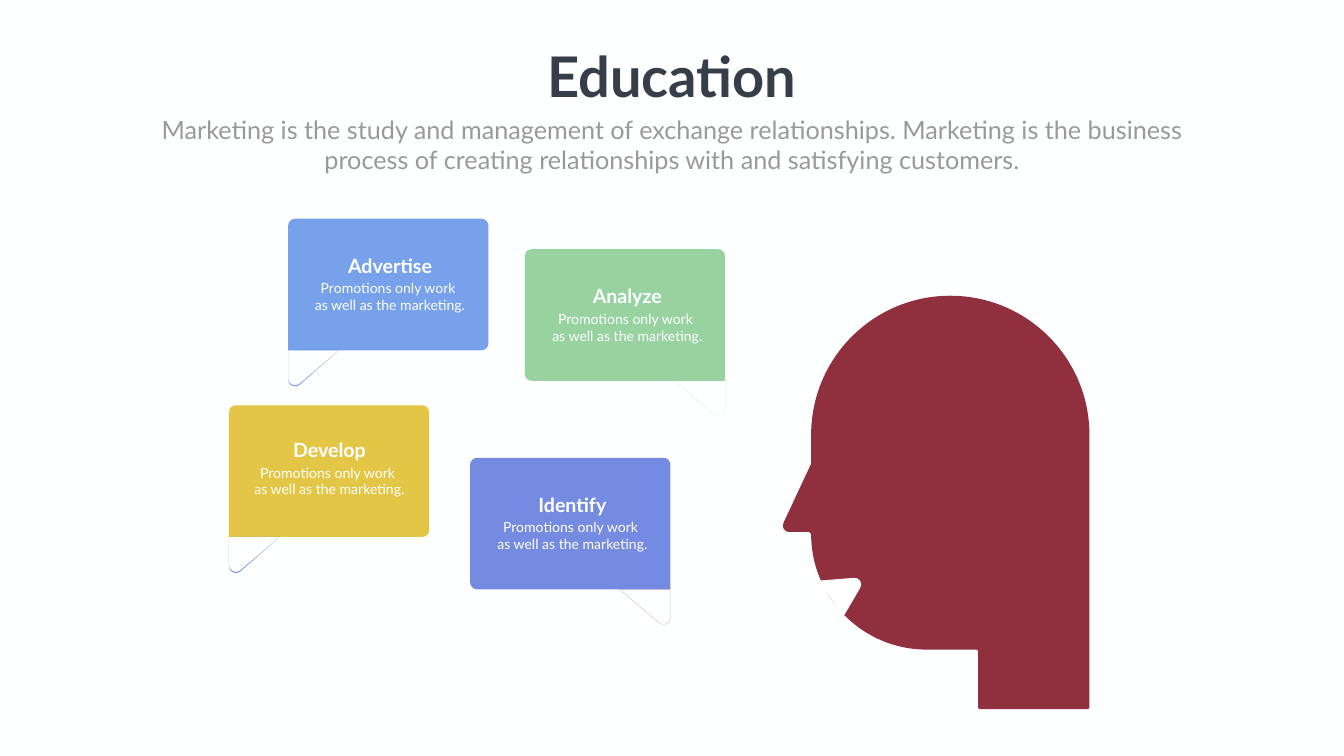
from math import cos, radians, sin, tan

from lxml import etree
from pptx import Presentation
from pptx.dml.color import RGBColor
from pptx.enum.text import MSO_ANCHOR, MSO_AUTO_SIZE, PP_ALIGN
from pptx.oxml.ns import qn
from pptx.util import Pt

CENTER = PP_ALIGN.CENTER
TOP = MSO_ANCHOR.TOP
NO_AUTOFIT = MSO_AUTO_SIZE.NONE

SLIDE_W, SLIDE_H = 1919.5, 1080
FONT = "Lato"
PAPER, WHITE, INK, GRAY, MAROON = "FEFFFF", "FFFFFF", "353E49", "989998", "902F3E"

BUBBLE_W, BUBBLE_H, CORNER = 286, 188, 10
TAIL_W, TAIL_H = 72.5, 50
HEADING_W, BODY_W = 188, 316
BODY = ["Promotions only work ", "as well as the marketing."]

# heading, left, top, heading left, heading top, tail on the right, colours
BUBBLES = [
    ("Identify", 671.5, 654, 723.5, 700, True, "758BE2", "913140"),
    ("Analyze", 749.5, 356, 802, 402.5, True, "98D2A1", "98D3A1"),
    ("Develop", 327, 579, 376.5, 622, False, "E3C645", "778DE4"),
    ("Advertise", 411.5, 312.5, 463, 358.5, False, "77A1EB", "77A1EC"),
]


def rgb(value):
    return RGBColor.from_string(value)


def arc(cx, cy, radius, *angles):
    """Steps along a circle: a point, then one curve to each further angle.

    Angles are in degrees, clockwise from the right. Every step is a tuple of
    points: one for a straight line, three for a curve.
    """
    def at(angle, pull=0.0):
        c, s = cos(radians(angle)), sin(radians(angle))
        return cx + radius * (c - pull * s), cy + radius * (s + pull * c)

    steps = [(at(angles[0]),)]
    for start, end in zip(angles, angles[1:]):
        pull = 4 / 3 * tan(radians(end - start) / 4)
        steps.append((at(start, pull), at(end, -pull), at(end)))
    return steps


def line(*points):
    return [(point,) for point in points]


def mirror(steps, width):
    return [tuple((width - x, y) for x, y in step) for step in steps]


def add_outline(slide, left, top, steps, fill):
    """Closed outline of lines and curves, relative to left and top."""
    steps = [[(Pt(left + x), Pt(top + y)) for x, y in step] for step in steps]
    start_x, start_y = steps[0][-1]
    builder = slide.shapes.build_freeform(start_x, start_y, scale=1.0)
    builder.add_line_segments([step[-1] for step in steps[1:]], close=True)
    outline = builder.convert_to_shape()
    outline.shadow.inherit = False
    outline.fill.solid()
    outline.fill.fore_color.rgb = rgb(fill)
    outline.line.fill.background()

    origin = next(outline.element.iter(qn("a:moveTo")))[0]
    shift_x, shift_y = start_x - int(origin.get("x")), start_y - int(origin.get("y"))
    segments = list(outline.element.iter(qn("a:lnTo")))
    for segment, step in zip(segments, steps[1:]):
        if len(step) == 3:
            curve = etree.Element(qn("a:cubicBezTo"))
            for x, y in step:
                etree.SubElement(curve, qn("a:pt"), x=str(x - shift_x), y=str(y - shift_y))
            segment.getparent().replace(segment, curve)


def write(frame, lines, size, color, bold=False, wrap=True):
    frame_format = {"word_wrap": wrap, "auto_size": NO_AUTOFIT, "vertical_anchor": TOP}
    for name, value in frame_format.items():
        setattr(frame, name, value)
    font_format = {"name": FONT, "size": Pt(size), "bold": bold}
    frame.text = "\n".join(lines)
    for paragraph in frame.paragraphs:
        paragraph.alignment = CENTER
        for name, value in font_format.items():
            setattr(paragraph.font, name, value)
        paragraph.font.color.rgb = rgb(color)


def add_text(slide, left, top, width, height, lines, size, color, bold=False):
    box = slide.shapes.add_textbox(Pt(left), Pt(top), Pt(width), Pt(height))
    write(box.text_frame, lines, size, color, bold)


def add_header(slide, left, top, width):
    title = slide.shapes.title
    title_w = 377
    place = {"left": left + (width - title_w) / 2, "top": top,
             "width": title_w, "height": 104}
    for name, value in place.items():
        setattr(title, name, Pt(value))
    write(title.text_frame, ["Education"], 80, INK, bold=True, wrap=False)
    summary = ("Marketing is the study and management of exchange relationships. "
               "Marketing is the business process of creating relationships "
               "with and satisfying customers.")
    add_text(slide, left, top + 104, width, 94, [summary], 36, GRAY)


def add_head(slide, left, top):
    """Profile facing left, with an open mouth."""
    face, back, chin, base = 42.5, 440, 505.5, 590.5
    dome_r, jaw_r, neck = 198.75, 165, 281
    profile = [
        *arc(face + dome_r, dome_r, dome_r, 360, 270, 180),
        *line((face, 240), (3, 324.5)),
        ((0, 331), (5, 337.5), (10.5, 337.5)),
        *line((39.5, 337.5)),
        *arc(face + jaw_r, chin - jaw_r, jaw_r, 180, 90),
        *arc(neck - 2, chin + 2, 2, 270, 360),
        *arc(neck + 2, base - 2, 2, 180, 90),
        *arc(back - 2, base - 2, 2, 90, 0),
    ]
    add_outline(slide, left, top, profile, MAROON)
    mouth = [*line((0, 4)), *arc(51.5, 9.5, 9.5, -95, 0, 33), *line((35.5, 55.5))]
    add_outline(slide, left + 53, top + 403, mouth, WHITE)


def tail_steps(height):
    top = BUBBLE_H
    return [*line((TAIL_W, top)),
            *arc(CORNER, top + height - CORNER, CORNER, 49, 90, 180),
            *line((0, top), (TAIL_W, top))]


def add_bubble(slide, heading, left, top, heading_left, heading_top,
               tail_right, fill, tail_fill):
    """Card with three round corners and a hollow tail at the square one."""
    far = BUBBLE_W - CORNER
    card = [
        *line((0, BUBBLE_H)),
        *arc(CORNER, CORNER, CORNER, 180, 270),
        *arc(far, CORNER, CORNER, 270, 360),
        *arc(far, BUBBLE_H - CORNER, CORNER, 0, 90),
    ]
    # Tracing the tail twice hollows it; a longer second pass leaves a lip.
    lip = 0 if tail_right else 1.5
    tail = tail_steps(TAIL_H) + tail_steps(TAIL_H + lip)
    if tail_right:
        card, tail = mirror(card, BUBBLE_W), mirror(tail, BUBBLE_W)
    add_outline(slide, left, top, card, fill)
    add_outline(slide, left, top, tail, tail_fill)

    add_text(slide, heading_left, heading_top, HEADING_W, 41,
             [heading], 28, PAPER, bold=True)
    add_text(slide, heading_left - (BODY_W - HEADING_W) / 2, heading_top + 37.5,
             BODY_W, 55.5, BODY, 20, PAPER)


def main():
    deck = Presentation()
    deck.slide_width, deck.slide_height = Pt(SLIDE_W), Pt(SLIDE_H)
    slide = deck.slides.add_slide(deck.slide_layouts[5])
    slide.background.fill.solid()
    slide.background.fill.fore_color.rgb = rgb(PAPER)

    add_head(slide, 1116, 422.5)
    for bubble in BUBBLES:
        add_bubble(slide, *bubble)
    add_header(slide, 193, 56, 1533.5)
    deck.save("out.pptx")


if __name__ == "__main__":
    main()
